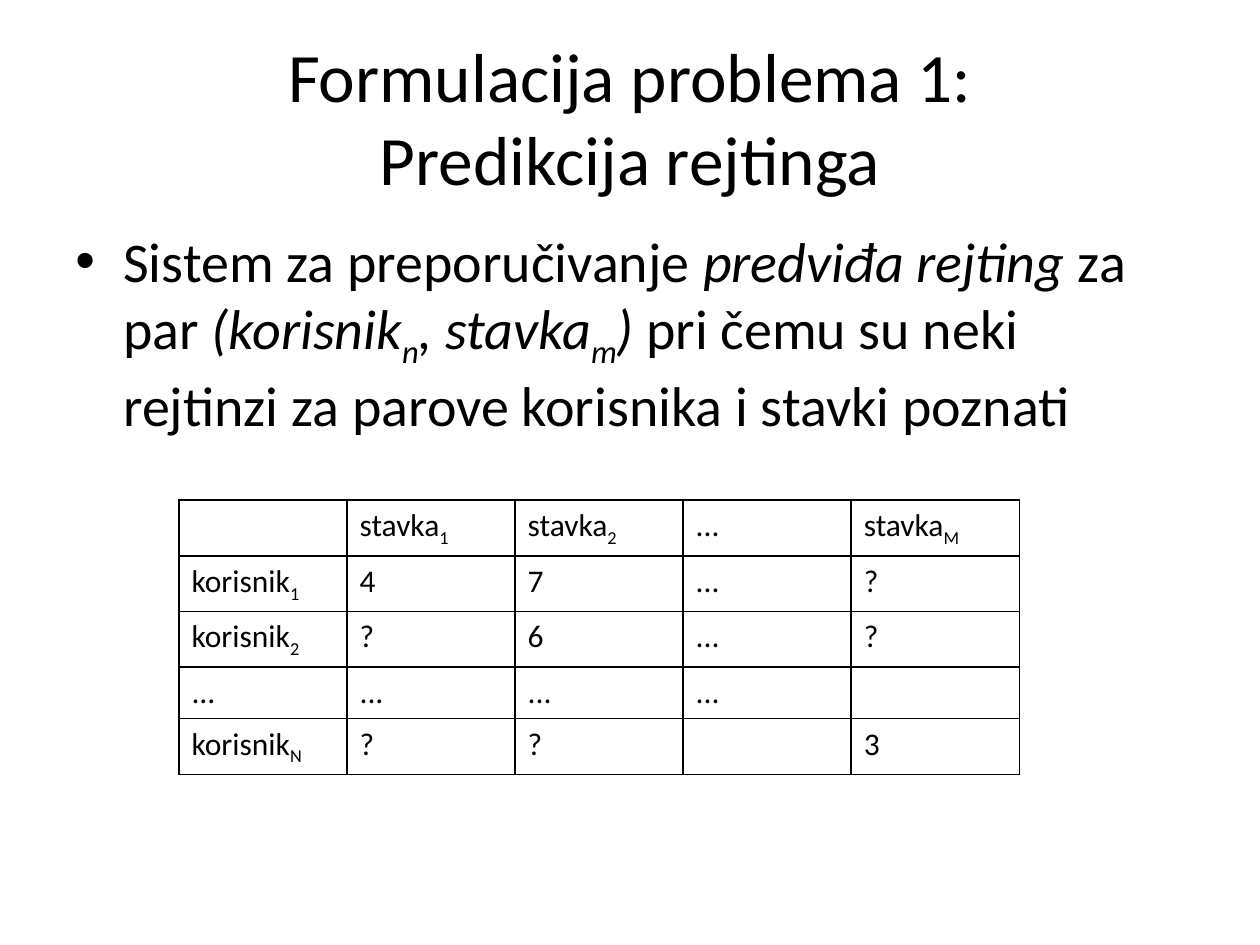
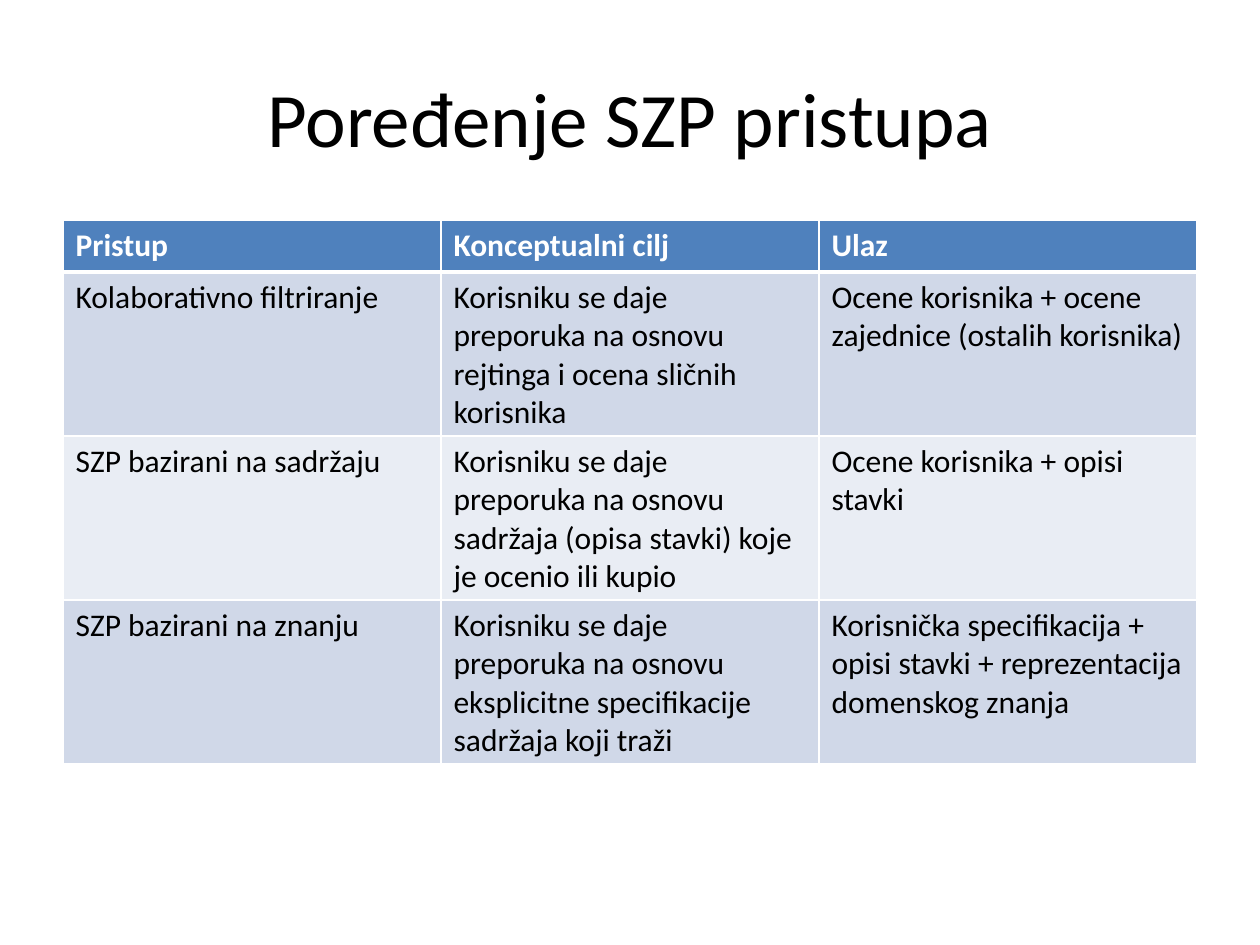
from lxml import etree
from pptx import Presentation
from pptx.dml.color import RGBColor
from pptx.enum.text import MSO_ANCHOR as Anchor, PP_ALIGN as Align
from pptx.oxml.ns import qn
from pptx.util import Inches, Pt

COLORS = {
    "ink": "000000",
    "paper": "FFFFFF",
    "header": "4F81BD",
    "odd_band": "D0D8E8",
    "even_band": "E9EDF4",
}
FONT = "Calibri"
TITLE_BOX = (0.5, 0.3, 9, 1.25)
BODY_BOX = (0.5, 1.75, 9, 4.95)
ROW_HEIGHT = 0.41

INTRO = [
    ("Sistem za preporučivanje ", ""),
    ("predviđa rejting", "italic"),
    (" za par ", ""),
    ("(korisnik", "italic"),
    ("n", "italic sub"),
    (", stavka", "italic"),
    ("m", "italic sub"),
    (")", "italic"),
    (" pri čemu su neki rejtinzi za parove korisnika i stavki poznati", ""),
]
# An underscore separates a label from its subscript
RATINGS = [
    ["", "stavka_1", "stavka_2", "...", "stavka_M"],
    ["korisnik_1", "4", "7", "...", "?"],
    ["korisnik_2", "?", "6", "...", "?"],
    ["...", "...", "...", "...", ""],
    ["korisnik_N", "?", "?", "", "3"],
]
APPROACHES = [
    ["Pristup", "Konceptualni cilj", "Ulaz"],
    ["Kolaborativno filtriranje",
     "Korisniku se daje preporuka na osnovu rejtinga i ocena sličnih korisnika",
     "Ocene korisnika + ocene zajednice (ostalih korisnika)"],
    ["SZP bazirani na sadržaju",
     "Korisniku se daje preporuka na osnovu sadržaja (opisa stavki) koje je ocenio ili kupio",
     "Ocene korisnika + opisi stavki"],
    ["SZP bazirani na znanju",
     "Korisniku se daje preporuka na osnovu eksplicitne specifikacije sadržaja koji traži",
     "Korisnička specifikacija + opisi stavki + reprezentacija domenskog znanja"],
]


def rgb(name):
    return RGBColor.from_string(COLORS[name])


def style_span(span, size, color="ink", **extra):
    formats = {"name": FONT, "size": Pt(size), **extra}
    for name, value in formats.items():
        setattr(span.font, name, value)
    span.font.color.rgb = rgb(color)


def add_span(para, text, size, color="ink", sub=False, **extra):
    span = para.add_run()
    span.text = text
    style_span(span, size, color, **extra)
    if sub:
        span._r.get_or_add_rPr().set("baseline", "-25000")


def add_text_box(page, box, anchor):
    frame = page.shapes.add_textbox(*map(Inches, box)).text_frame
    frame.word_wrap = True
    frame.vertical_anchor = anchor
    return frame.paragraphs[0]


def add_title(page, text, size):
    para = add_text_box(page, TITLE_BOX, Anchor.MIDDLE)
    para.text = text
    para.alignment = Align.CENTER
    for span in para.runs:
        style_span(span, size)


def add_bullet(page, box, spans, size=32):
    para = add_text_box(page, box, Anchor.TOP)
    para.space_before = Pt(size * 0.2)
    props = para._p.get_or_add_pPr()
    props.set("marL", str(Inches(0.38)))
    props.set("indent", str(Inches(-0.38)))
    etree.SubElement(props, qn("a:buFont"), typeface="Arial")
    etree.SubElement(props, qn("a:buChar"), char="•")
    for text, style in spans:
        add_span(para, text, size, sub="sub" in style, italic="italic" in style)


def set_borders(cell, color, top=1, bottom=1):
    props = cell._tc.get_or_add_tcPr()
    for side, width in {"L": 1, "R": 1, "T": top, "B": bottom}.items():
        line = etree.SubElement(props, qn(f"a:ln{side}"), w=str(Pt(width)))
        fill = etree.SubElement(line, qn("a:solidFill"))
        etree.SubElement(fill, qn("a:srgbClr"), val=COLORS[color])


def add_grid(page, left, top, width, rows):
    """Place an unstyled table and yield each cell with its row and text."""
    size = (len(rows), len(rows[0]))
    box = (left, top, width, ROW_HEIGHT * len(rows))
    table = page.shapes.add_table(*size, *map(Inches, box)).table
    table.first_row = table.horz_banding = False
    for r, row in enumerate(rows):
        for c, text in enumerate(row):
            yield r, table.cell(r, c), text


def add_rating_table(page, left, top, width):
    for _, cell, text in add_grid(page, left, top, width, RATINGS):
        set_borders(cell, "ink")
        cell.fill.background()
        label, _, index = text.partition("_")
        para = cell.text_frame.paragraphs[0]
        if label:
            add_span(para, label, 18)
        if index:
            add_span(para, index, 18, sub=True)


def add_approach_table(page, left, top, width):
    for r, cell, text in add_grid(page, left, top, width, APPROACHES):
        header = r == 0
        # The rule below the header is thicker
        set_borders(cell, "paper", top=3 if r == 1 else 1, bottom=3 if header else 1)
        cell.fill.solid()
        band = "odd_band" if r % 2 else "even_band"
        cell.fill.fore_color.rgb = rgb("header" if header else band)
        add_span(cell.text_frame.paragraphs[0], text, 18,
                 "paper" if header else "ink", bold=header)


def add_page(deck, title, title_size):
    page = deck.slides.add_slide(deck.slide_layouts[6])
    add_title(page, title, title_size)
    return page


def main():
    deck = Presentation()
    deck.slide_width, deck.slide_height = Inches(10), Inches(7.5)

    # Rating prediction
    page = add_page(deck, "Formulacija problema 1:\nPredikcija rejtinga", 39.6)
    add_bullet(page, BODY_BOX, INTRO)
    add_rating_table(page, 1.42, 3.97, 6.67)

    # Comparison of approaches
    page = add_page(deck, "Poređenje SZP pristupa", 44)
    add_approach_table(page, *BODY_BOX[:3])

    deck.save("out.pptx")


if __name__ == "__main__":
    main()
